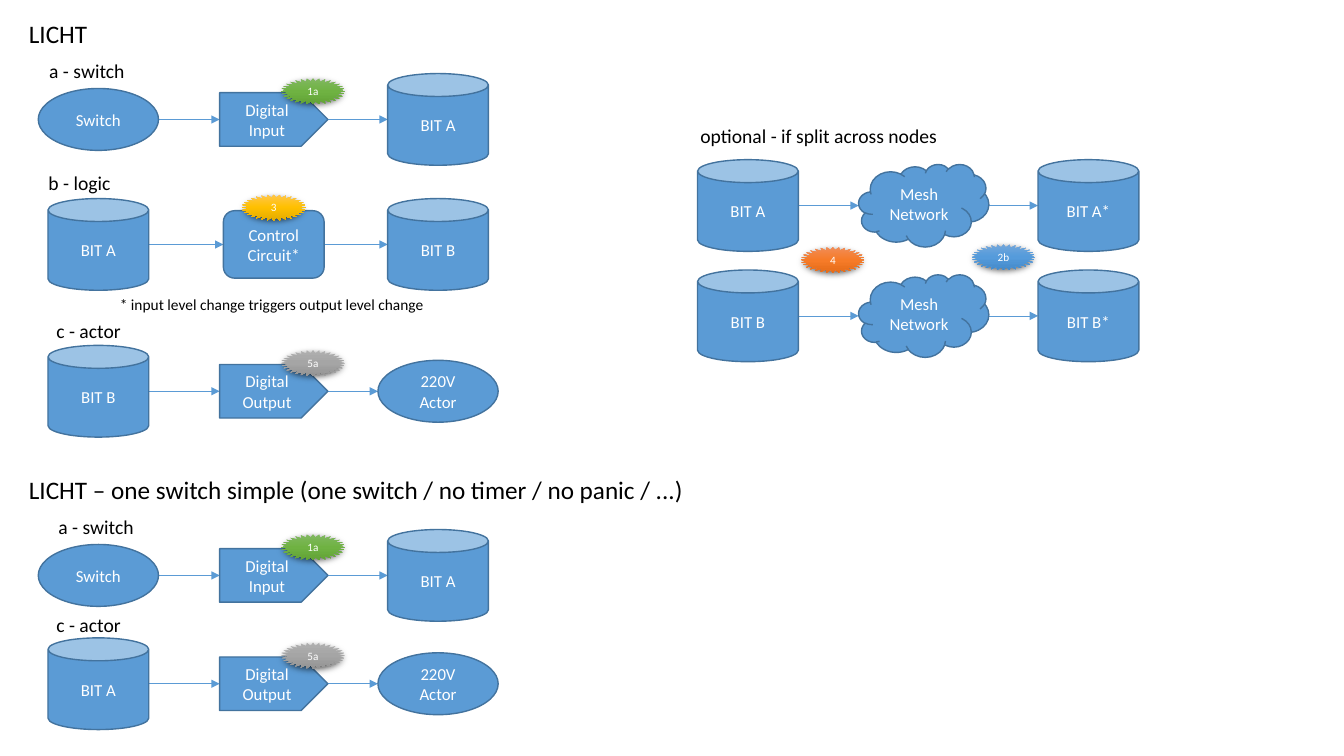
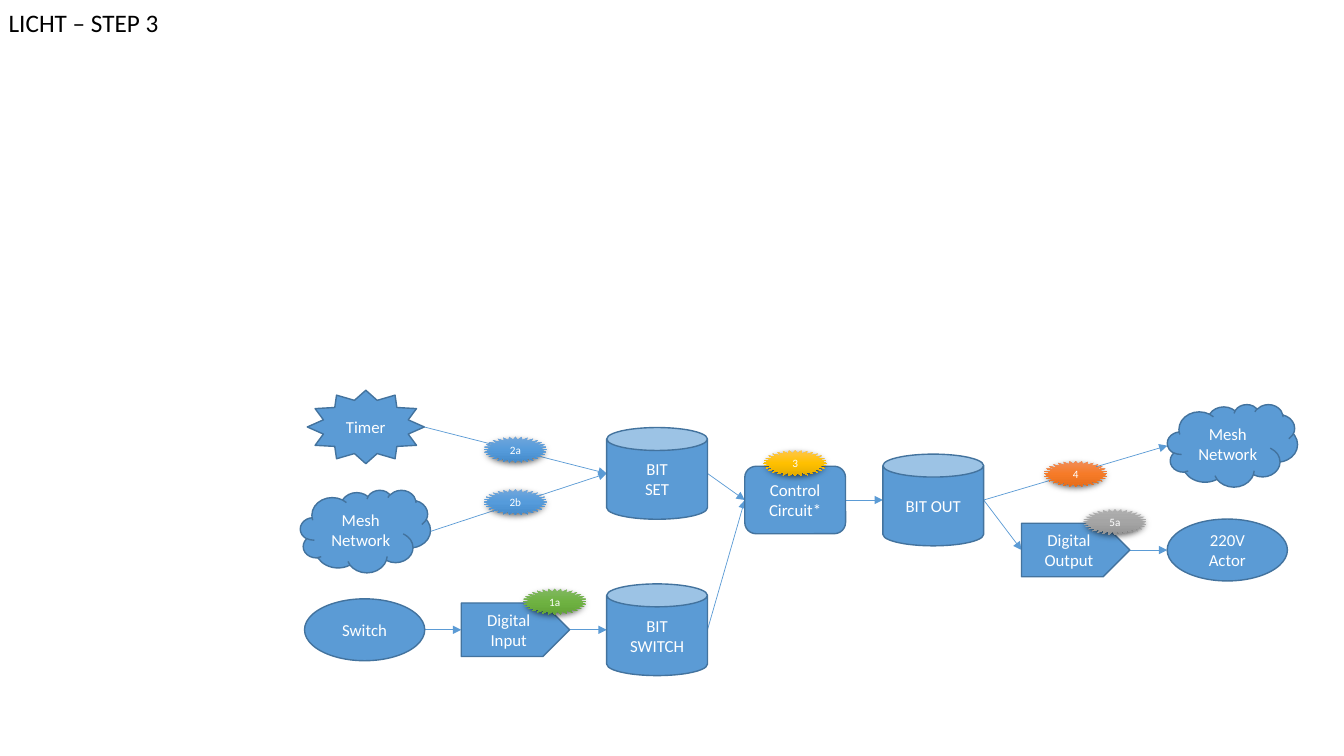
from pptx import Presentation
from pptx.util import Cm, Pt
from pptx.dml.color import RGBColor
from pptx.enum import shapes, text
from pptx.oxml import parse_xml
from pptx.oxml.ns import nsdecls, qn

HUE = {"node": "5B9BD5", "edge": "43739E", "ink": "000000", "pale": "FFFFFF"}
GRADS = {
    "1": ("81B861", "6FB242", "62A336"),
    "2": ("71A6DB", "559BDB", "448ACA"),
    "3": ("FFC64B", "FFC000", "E3AB00"),
    "4": ("F18C57", "F67B28", "E56C19"),
    "5": ("AFAFAF", "A5A5A5", "939393"),
}
FORM = shapes.MSO_SHAPE
KINDS = {
    "bit": (FORM.CAN, 2.54, 2.31),
    "oval": (FORM.OVAL, 3.03, 1.56),
    "port": (FORM.PENTAGON, 2.73, 1.35),
    "logic": (FORM.FLOWCHART_ALTERNATE_PROCESS, 2.54, 1.7),
    "mesh": (FORM.CLOUD, 3.28, 2.08),
    "timer": (FORM.STAR_12_POINT, 2.95, 1.85),
}
BADGE = (1.6, 0.66)
TALL = {18: 1.02, 14: 0.86, 11: 0.74}
SWITCH, ACTOR = ("oval", "Switch"), ("oval", "220V\nActor")
INPUT, OUTPUT = ("port", "Digital Input"), ("port", "Digital Output")
LOGIC, MESH = ("logic", "Control Circuit*"), ("mesh", "Mesh\nNetwork")
TAGS = {INPUT: ("1a", 0.99, -0.71), OUTPUT: ("5a", 0.99, -0.71),
        LOGIC: ("3", 0, -0.93)}


def bit(name):
    """Describe a storage node."""
    return "bit", "BIT" + name


MAIN, SIDE = (2.48, 6.9, 11.04), (18.85, 23.28, 27.43)
ROWS = [
    (3.01, MAIN, (SWITCH, INPUT, bit(" A"))),
    (6.16, MAIN, (bit(" A"), LOGIC, bit(" B"))),
    (9.86, MAIN, (bit(" B"), OUTPUT, ACTOR)),
    (5.18, SIDE, (bit(" A"), MESH, bit(" A*"))),
    (7.96, SIDE, (bit(" B"), MESH, bit(" B*"))),
    (14.5, MAIN, (SWITCH, INPUT, bit(" A"))),
    (17.23, MAIN, (bit(" A"), OUTPUT, ACTOR)),
]
FLOW = [
    (("timer", "Timer"), 9.22, 10.76),
    (MESH, 9.21, 13.39),
    (SWITCH, 9.19, 15.87),
    (INPUT, 12.99, 15.87),
    (bit("\nSET"), 16.56, 11.93),
    (bit("\nSWITCH"), 16.56, 15.87),
    (LOGIC, 20.04, 12.6),
    (bit(" OUT"), 23.52, 12.6),
    (MESH, 31.06, 11.23),
    (OUTPUT, 27.11, 13.86),
    (ACTOR, 30.93, 13.86),
]
GRID = [(node, x, y) for y, cols, row in ROWS for node, x in zip(row, cols)]
STEPS = [(i, i + 1) for i in range(len(GRID)) if i % 3 < 2]
PAGES = [
    {
        "words": [
            ("LICHT", 18, 0.48, 0.33, 2.01),
            ("a - switch", 14, 0.99, 1.37, 2.44),
            ("b - logic", 14, 0.97, 4.17, 2.08),
            ("* input level change triggers output level change",
             11, 2.77, 7.32, 8.23),
            ("c - actor", 14, 1.17, 7.92, 2.16),
            ("optional - if split across nodes", 14, 17.4, 3, 6.55),
            ("LICHT – one switch simple (one switch / no timer / no panic / ...)",
             18, 0.48, 11.84, 17.53),
            ("a - switch", 14, 1.22, 12.85, 2.44),
            ("c - actor", 14, 1.17, 15.32, 2.16),
        ],
        "nodes": GRID,
        "links": STEPS,
        "badges": [("2b", 25.29, 6.48), ("4", 20.99, 6.55)],
    },
    {
        "words": [("LICHT – STEP 3", 18, -0.03, 0.05, 4.32)],
        "nodes": FLOW,
        "links": [(0, 4), (1, 4), (2, 3), (3, 5), (4, 6), (5, 6), (6, 7),
                  (7, 8), (7, 9), (9, 10)],
        "badges": [("2a", 12.99, 11.33), ("2b", 12.99, 12.65),
                   ("4", 27.11, 11.94)],
    },
]


def color(name):
    """Return a palette colour."""
    return RGBColor.from_string(HUE[name])


def write(shape, words, size=12, hue="pale", center=True, wrap=True):
    """Fill a shape with formatted text."""
    frame = shape.text_frame
    frame.text = words
    frame.word_wrap = wrap
    if center:
        frame.vertical_anchor = text.MSO_ANCHOR.MIDDLE
    else:
        frame.auto_size = text.MSO_AUTO_SIZE.SHAPE_TO_FIT_TEXT
    for para in frame.paragraphs:
        para.alignment = text.PP_ALIGN.CENTER if center else text.PP_ALIGN.LEFT
        font = para.runs[0].font
        font.name, font.size, font.color.rgb = "Calibri", Pt(size), color(hue)


def place(slide, form, x, y, wide, high):
    """Add a preset shape around its centre."""
    return slide.shapes.add_shape(form, Cm(x - wide / 2), Cm(y - high / 2),
                                  Cm(wide), Cm(high))


def draw(slide, node, x, y):
    """Draw one node with its label."""
    kind, label = node
    shape = place(slide, KINDS[kind][0], x, y, *KINDS[kind][1:])
    shape.shadow.inherit = False
    shape.fill.solid()
    shape.fill.fore_color.rgb = color("node")
    shape.line.color.rgb = color("edge")
    shape.line.width = Pt(1)
    write(shape, label)


def link(slide, start, end):
    """Draw an arrow from right edge to left edge."""
    (a, x1, y1), (b, x2, y2) = start, end
    line = slide.shapes.add_connector(
        shapes.MSO_CONNECTOR.STRAIGHT,
        Cm(x1 + KINDS[a[0]][1] / 2), Cm(y1),
        Cm(x2 - KINDS[b[0]][1] / 2), Cm(y2))
    line.line.color.rgb = color("node")
    line.line.width = Pt(0.5)
    props = line._element.spPr
    props.find(qn("a:ln")).append(
        parse_xml(f'<a:tailEnd {nsdecls("a")} type="triangle"/>'))
    props.append(parse_xml(f'<a:effectLst {nsdecls("a")}/>'))


def badge(slide, label, x, y):
    """Draw a shaded step badge."""
    shape = place(slide, FORM.STAR_32_POINT, x, y, *BADGE)
    shape.line.fill.background()
    stops = "".join(
        f'<a:gs pos="{i * 50000}"><a:srgbClr val="{hue}"/></a:gs>'
        for i, hue in enumerate(GRADS[label[0]]))
    props = shape._element.spPr
    props.find(qn("a:ln")).addprevious(parse_xml(
        f'<a:gradFill {nsdecls("a")} rotWithShape="1"><a:gsLst>{stops}</a:gsLst>'
        '<a:lin ang="5400000" scaled="0"/></a:gradFill>'))
    props.append(parse_xml(
        f'<a:effectLst {nsdecls("a")}><a:outerShdw blurRad="{Pt(4.5)}" '
        f'dist="{Pt(1.5)}" dir="5400000" algn="ctr" rotWithShape="0">'
        f'<a:srgbClr val="{HUE["ink"]}"><a:alpha val="63000"/></a:srgbClr>'
        '</a:outerShdw></a:effectLst>'))
    write(shape, label, size=8)


deck = Presentation()
deck.slide_width, deck.slide_height = Cm(33.87), Cm(19.05)
for page in PAGES:
    slide = deck.slides.add_slide(deck.slide_layouts[6])
    nodes = page["nodes"]
    for i, j in page["links"]:
        link(slide, nodes[i], nodes[j])
    for item in nodes:
        draw(slide, *item)
    for words, size, x, y, wide in page["words"]:
        box = slide.shapes.add_textbox(Cm(x), Cm(y), Cm(wide), Cm(TALL[size]))
        write(box, words, size=size, hue="ink", center=False, wrap=False)
    for node, x, y in nodes:
        if node in TAGS:
            label, dx, dy = TAGS[node]
            badge(slide, label, x + dx, y + dy)
    for item in page["badges"]:
        badge(slide, *item)
deck.save("out.pptx")
